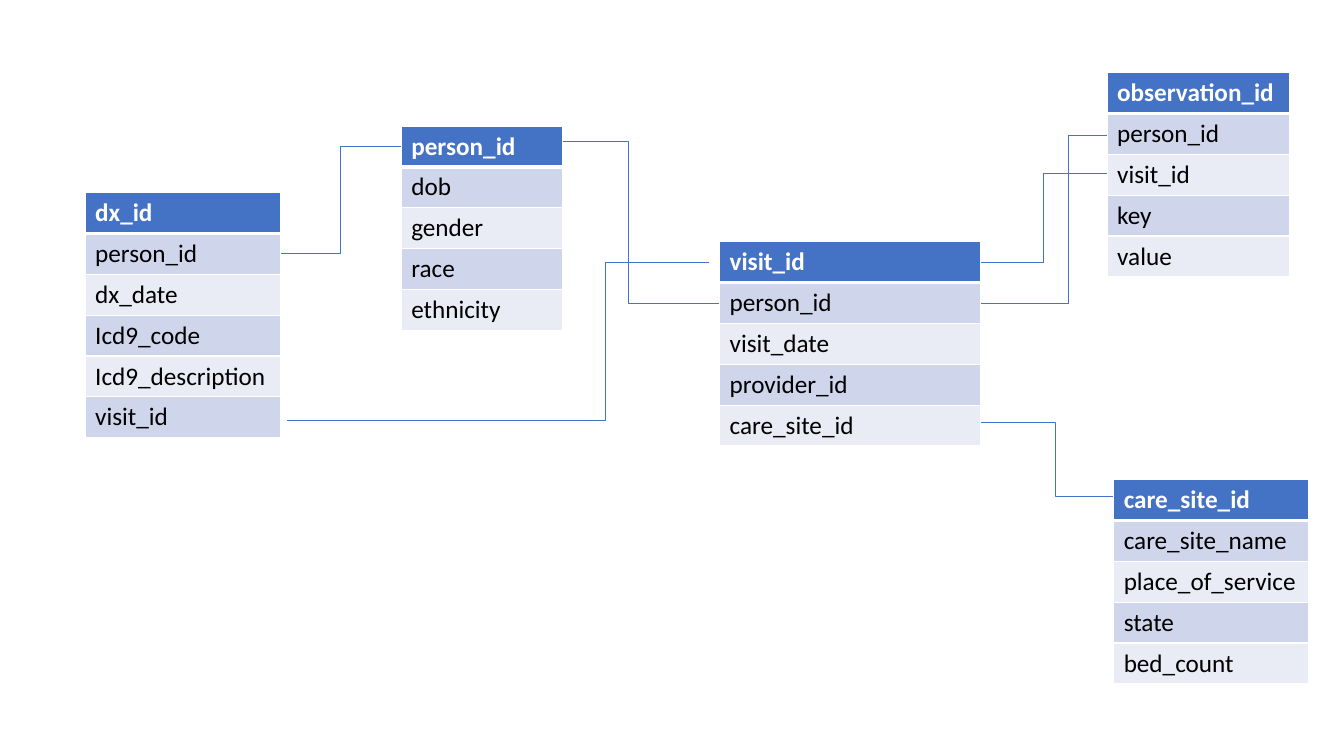
from lxml.etree import SubElement
from pptx import Presentation
from pptx.dml.color import RGBColor
from pptx.enum.shapes import MSO_CONNECTOR
from pptx.oxml import parse_xml
from pptx.oxml.ns import nsdecls, qn
from pptx.util import Pt

COLORS = {"header": "4472C4", "odd": "CFD5EA", "even": "E9EBF5",
          "white": "FFFFFF", "text": "000000"}
ROW_HEIGHT = 29.2


def color(name):
    return RGBColor.from_string(COLORS[name])


def set_borders(cell, top, bottom):
    """Give a cell white borders, 1 pt at the sides."""
    widths = {"lnL": 1, "lnR": 1, "lnT": top, "lnB": bottom}
    for i, (tag, width) in enumerate(widths.items()):
        cell._tc.get_or_add_tcPr().insert(i, parse_xml(
            f'<a:{tag} {nsdecls("a")} w="{Pt(width)}"><a:solidFill>'
            f'<a:srgbClr val="{COLORS["white"]}"/></a:solidFill></a:{tag}>'))


prs = Presentation()
prs.slide_width, prs.slide_height = Pt(960), Pt(540)
s = prs.slides.add_slide(prs.slide_layouts[6])

# Entities: left, top, width, key followed by fields
entities = [
    (286.6, 90, 115.2, ["person_id", "dob", "gender", "race", "ethnicity"]),
    (514, 172.6, 186.5,
     ["visit_id", "person_id", "visit_date", "provider_id", "care_site_id"]),
    (795.5, 342.5, 139,
     ["care_site_id", "care_site_name", "place_of_service", "state", "bed_count"]),
    (60.8, 137.5, 139.5,
     ["dx_id", "person_id", "dx_date", "Icd9_code", "Icd9_description", "visit_id"]),
    (790.8, 51.8, 130.3,
     ["observation_id", "person_id", "visit_id", "key", "value"]),
]

# Relations: start x, y, end x, y, position of the bend
relations = [
    (699.2, 301.8, 809.2, 354.8, 0.5),
    (286.6, 104.4, 200.2, 180.8, 0.5),
    (204.8, 300, 506.6, 187.7, 0.754),
    (383.8, 100.9, 514, 216.7, 0.5),
    (700.6, 187.7, 790.6, 123.9, 0.5),
    (700.6, 216.7, 825.2, 96.5, 0.5),
]

# The lines lie behind the tables, so their ends are hidden
for x1, y1, x2, y2, bend in relations:
    line = s.shapes.add_connector(MSO_CONNECTOR.ELBOW, Pt(x1), Pt(y1), Pt(x2), Pt(y2))
    line.line.color.rgb = color("header")
    line.line.width = Pt(0.5)
    sp_pr = line._element.spPr
    SubElement(sp_pr, qn("a:effectLst"))
    guides = sp_pr.find(qn("a:prstGeom")).find(qn("a:avLst"))
    SubElement(guides, qn("a:gd"), name="adj1", fmla=f"val {round(bend * 100000)}")

for left, top, width, fields in entities:
    frame = s.shapes.add_table(len(fields), 1, Pt(left), Pt(top), Pt(width),
                               Pt(ROW_HEIGHT * len(fields)))
    table = frame.table
    for i, field in enumerate(fields):
        table.rows[i].height = Pt(ROW_HEIGHT)
        cell = table.cell(i, 0)
        cell.fill.solid()
        cell.fill.fore_color.rgb = color("header" if i == 0 else "odd" if i % 2 else "even")
        set_borders(cell, top=3 if i == 1 else 1, bottom=3 if i == 0 else 1)
        cell.text_frame.text = field
        font = cell.text_frame.paragraphs[0].runs[0].font
        font.name = "Calibri"
        font.size = Pt(18)
        font.bold = i == 0
        font.color.rgb = color("white" if i == 0 else "text")

prs.save("out.pptx")
